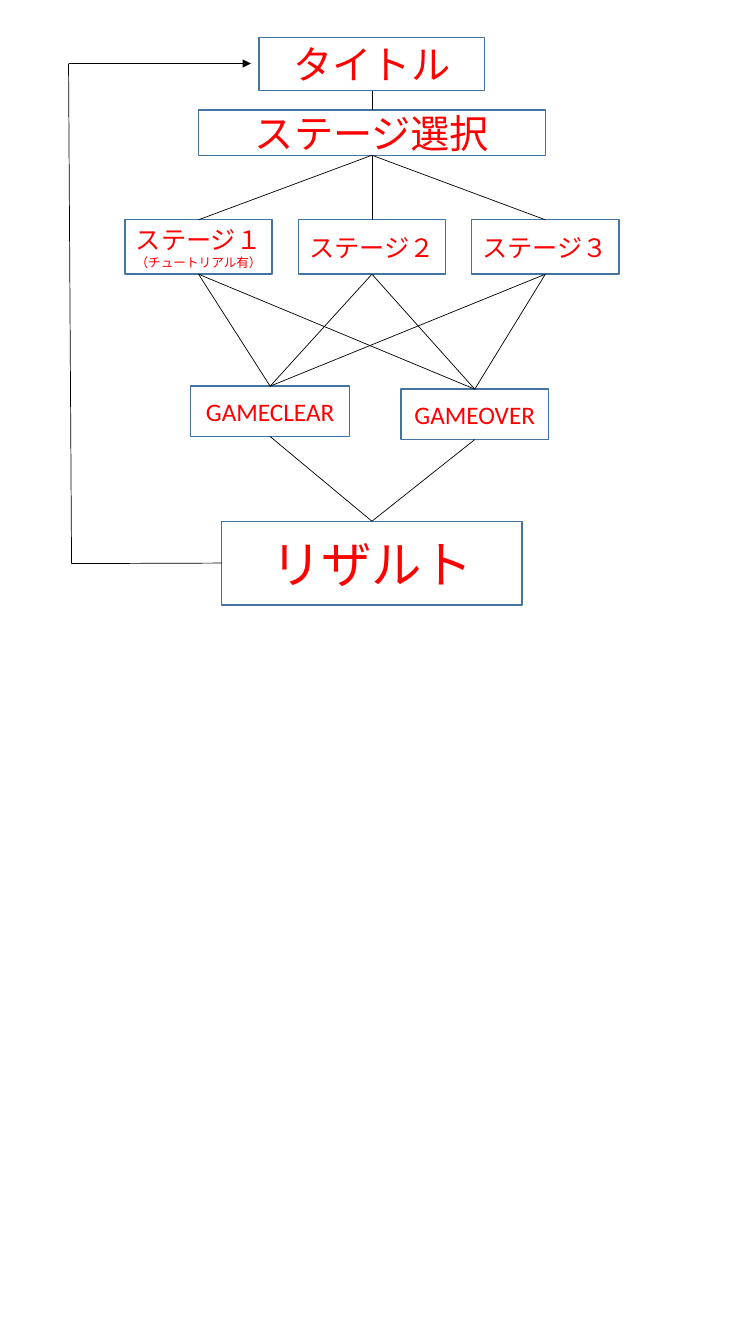
"""Build a portrait slide with the screen flow of a game."""
from dataclasses import dataclass
from itertools import pairwise, product

from lxml.etree import SubElement
from pptx import Presentation
from pptx.dml.color import RGBColor
from pptx.enum.shapes import MSO_CONNECTOR, MSO_SHAPE
from pptx.enum.text import MSO_ANCHOR, PP_ALIGN
from pptx.oxml.ns import qn
from pptx.util import Pt


@dataclass(frozen=True)
class Theme:
    font: str = "Calibri"
    text: RGBColor = RGBColor(0xFF, 0x00, 0x00)
    fill: RGBColor = RGBColor(0xFF, 0xFF, 0xFF)
    border: RGBColor = RGBColor(0x43, 0x73, 0x9E)
    link: RGBColor = RGBColor(0x00, 0x00, 0x00)
    border_width: float = 1
    link_width: float = 0.5
    result: int = 36
    heading: int = 28
    label: int = 18
    note: int = 9


THEME = Theme()
EMU_PER_PX = 9144
SLIDE_SIZE = (750, 1333)
TOP, LEFT, BOTTOM = 0, 1, 2

STAGES = [
    [("ステージ１", THEME.label), ("（チュートリアル有）", THEME.note)],
    [("ステージ２", THEME.label)],
    [("ステージ３", THEME.label)],
]
STAGE_BOX = (124, 218, 146, 54)
STAGE_PITCH = 172

SCREENS = {
    "title": ([("タイトル", THEME.heading)], (257, 37, 224, 53)),
    "select": ([("ステージ選択", THEME.heading)], (197, 109, 344, 45)),
    "clear": ([("GAMECLEAR", THEME.label)], (189, 383, 158, 50)),
    "over": ([("GAMEOVER", THEME.label)], (398, 386, 146, 50)),
    "result": ([("リザルト", THEME.result)], (220, 517, 298, 83)),
}
RETURN_PATH = [(220, 559), (71, 559), (68, 63), (249, 63)]


def px(length):
    return length * EMU_PER_PX


def write(paragraph, text, *, size, color=THEME.text, align=PP_ALIGN.CENTER):
    paragraph.alignment = align
    run = paragraph.add_run()
    run.text = text
    run.font.name = THEME.font
    run.font.size = Pt(size)
    run.font.color.rgb = color


def add_screen(slide, lines, bounds):
    screen = slide.shapes.add_shape(MSO_SHAPE.RECTANGLE, *map(px, bounds))
    screen.shadow.inherit = False
    screen.fill.solid()
    screen.fill.fore_color.rgb = THEME.fill
    screen.line.color.rgb = THEME.border
    screen.line.width = Pt(THEME.border_width)
    frame = screen.text_frame
    frame.word_wrap = True
    frame.vertical_anchor = MSO_ANCHOR.MIDDLE
    frame.margin_left = frame.margin_right = 0
    frame.margin_top = frame.margin_bottom = 0
    for index, (text, size) in enumerate(lines):
        paragraph = frame.add_paragraph() if index else frame.paragraphs[0]
        write(paragraph, text, size=size)
    return screen


def add_link(slide, start=(0, 0), end=(0, 0), arrow=False):
    link = slide.shapes.add_connector(
        MSO_CONNECTOR.STRAIGHT, *map(px, (*start, *end)))
    link.line.color.rgb = THEME.link
    link.line.width = Pt(THEME.link_width)
    if arrow:
        SubElement(link.line._get_or_add_ln(), qn("a:tailEnd"), type="triangle")
    SubElement(link._element.spPr, qn("a:effectLst"))
    return link


def join(slide, upper, lower):
    link = add_link(slide)
    link.begin_connect(upper, BOTTOM)
    link.end_connect(lower, TOP)


def main():
    deck = Presentation()
    deck.slide_width, deck.slide_height = map(px, SLIDE_SIZE)
    slide = deck.slides.add_slide(deck.slide_layouts[6])

    screens = {name: add_screen(slide, *screen)
               for name, screen in SCREENS.items()}
    left, *rest = STAGE_BOX
    stages = [add_screen(slide, lines, (left + column * STAGE_PITCH, *rest))
              for column, lines in enumerate(STAGES)]
    endings = [screens["clear"], screens["over"]]

    levels = [[screens["title"]], [screens["select"]], stages, endings,
              [screens["result"]]]
    for uppers, lowers in pairwise(levels):
        for upper, lower in product(uppers, lowers):
            join(slide, upper, lower)

    for start, end in pairwise(RETURN_PATH):
        link = add_link(slide, start, end, arrow=end == RETURN_PATH[-1])
        if start == RETURN_PATH[0]:
            link.begin_connect(screens["result"], LEFT)

    deck.save("out.pptx")


if __name__ == "__main__":
    main()
